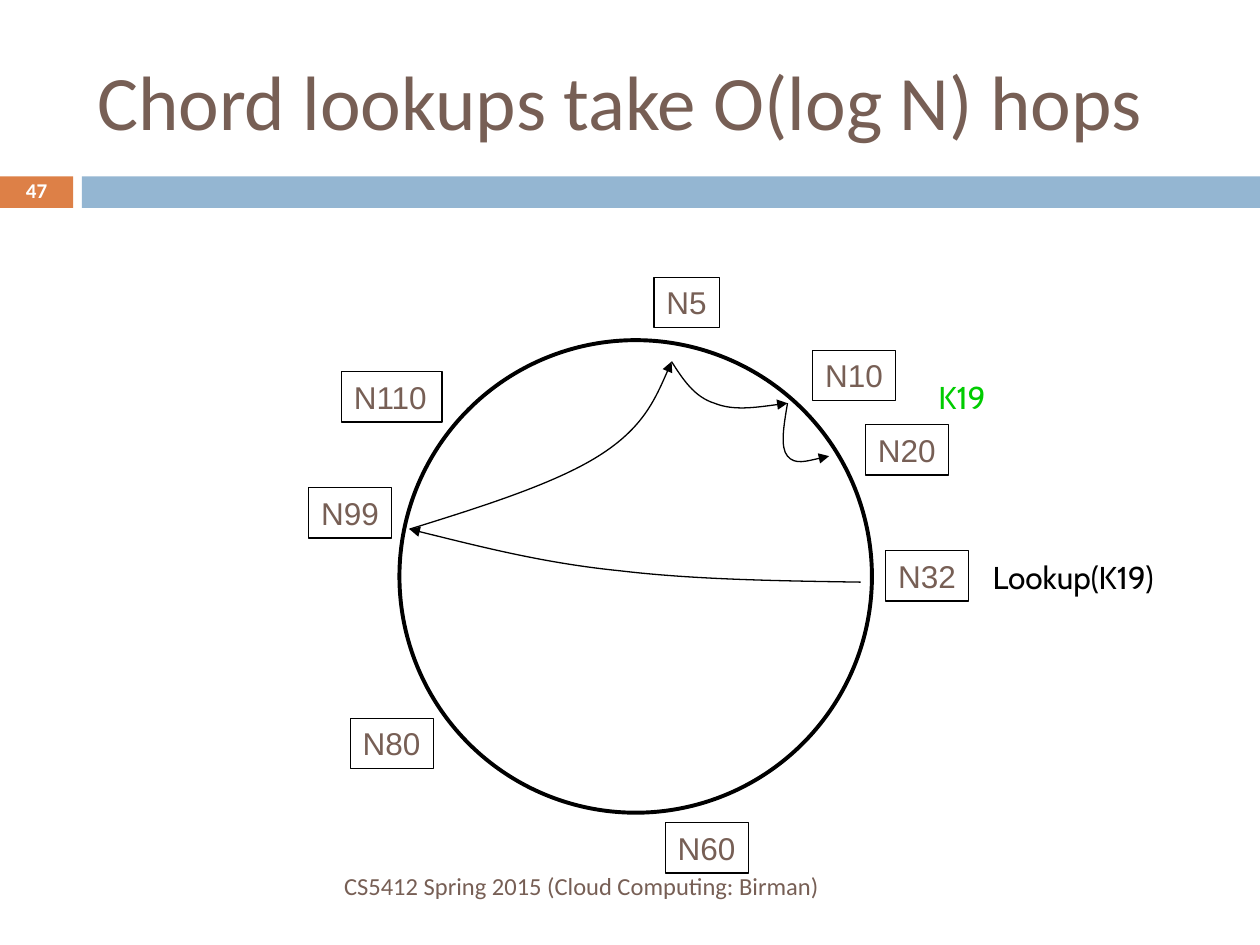
from dataclasses import dataclass

from lxml.etree import SubElement
from pptx import Presentation
from pptx.dml.color import RGBColor
from pptx.enum.shapes import MSO_SHAPE as Kind
from pptx.enum.text import MSO_ANCHOR as Anchor, MSO_AUTO_SIZE as Fit, PP_ALIGN as Align
from pptx.oxml.ns import qn
from pptx.util import Pt

PX = 9144  # EMU per px, 100 px to the inch
BROWN, BLACK, WHITE = "775F55", "000000", "FFFFFF"

Box = tuple[int, int, int, int]
Spot = tuple[int, int]


@dataclass
class Node:
    name: str
    left: int
    top: int
    wide: int = 66


@dataclass
class Hop:
    """A start point, then three points for each cubic curve."""
    start: Spot
    bends: list[Spot]


@dataclass
class Label:
    text: str
    box: Box
    size: int
    font: str
    color: str
    align: Align = Align.LEFT
    bold: bool = False
    wrap: bool = True


NODES = [
    Node("N32", 703, 437), Node("N10", 645, 278), Node("N5", 519, 220, 52),
    Node("N20", 687, 337), Node("N110", 271, 295, 80), Node("N99", 245, 387),
    Node("N80", 278, 570), Node("N60", 528, 653),
]
HOPS = [
    Hop((683, 462), [(617, 461), (551, 460), (492, 453), (432, 447), (378, 433), (325, 420)]),
    Hop((325, 420), [(383, 402), (440, 384), (475, 362), (510, 340), (522, 313), (533, 287)]),
    Hop((533, 287), [(542, 301), (551, 315), (567, 320), (582, 326), (603, 323), (625, 320)]),
    Hop((625, 320), [(622, 338), (619, 355), (625, 362), (631, 369), (644, 365), (658, 362)]),
]
LABELS = [
    Label("Lookup(K19)", (778, 438, 166, 40), 18, "Cabin", BLACK, wrap=False),
    Label("K19", (735, 295, 64, 40), 18, "Cabin", "00CC00", wrap=False),
    Label("CS5412 Spring 2015 (Cloud Computing: Birman)", (67, 683, 593, 40),
          14, "Calibri", BROWN, Align.RIGHT),
    Label("47", (0, 139, 58, 27), 12, "Calibri", WHITE, Align.CENTER, True),
]


def rgb(code: str) -> RGBColor:
    return RGBColor.from_string(code)


def emu(box: Box) -> list[int]:
    return [n * PX for n in box]


def write(shape, text: str, size: int, font: str, color: str,
          align: Align = Align.LEFT, bold: bool = False) -> None:
    shape.text_frame.text = text
    para = shape.text_frame.paragraphs[0]
    para.alignment = align
    face = para.runs[0].font
    face.size, face.name, face.bold = Pt(size), font, bold
    face.color.rgb = rgb(color)


def draw(slide, kind: Kind, box: Box, fill: str = "", line: float = 0):
    shape = slide.shapes.add_shape(kind, *emu(box))
    style(shape, fill, line)
    return shape


def style(shape, fill: str, line: float) -> None:
    shape.shadow.inherit = False
    if fill:
        shape.fill.solid()
        shape.fill.fore_color.rgb = rgb(fill)
    else:
        shape.fill.background()
    if line:
        shape.line.width = Pt(line)
        shape.line.color.rgb = rgb(BLACK)
    else:
        shape.line.fill.background()


def add_node(slide, node: Node) -> None:
    shape = draw(slide, Kind.RECTANGLE, (node.left, node.top, node.wide, 40), line=0.75)
    frame = shape.text_frame
    frame.word_wrap, frame.auto_size = False, Fit.SHAPE_TO_FIT_TEXT
    frame.vertical_anchor = Anchor.TOP
    write(shape, node.name, 18, "Arial", BROWN)


def add_hop(slide, hop: Hop) -> None:
    pen = slide.shapes.build_freeform(*hop.start, scale=PX)
    pen.add_line_segments(hop.bends, close=False)
    shape = pen.convert_to_shape()
    style(shape, "", 0.75)
    # Turn each three line points into one cubic curve
    track = next(shape.element.iter(qn("a:path")))
    lines = track.findall(qn("a:lnTo"))
    for i in range(0, len(lines), 3):
        curve = SubElement(track, qn("a:cubicBezTo"))
        for part in lines[i:i + 3]:
            curve.append(part[0])
            track.remove(part)
    SubElement(shape.line._get_or_add_ln(), qn("a:tailEnd"), type="triangle")


def add_label(slide, label: Label) -> None:
    shape = slide.shapes.add_textbox(*emu(label.box))
    frame = shape.text_frame
    frame.word_wrap = label.wrap
    if label.wrap:
        frame.vertical_anchor = Anchor.MIDDLE
    else:
        frame.auto_size = Fit.SHAPE_TO_FIT_TEXT
    write(shape, label.text, label.size, label.font, label.color, label.align, label.bold)
    if label.bold:
        frame.paragraphs[0].line_spacing = 0.8


def main() -> None:
    deck = Presentation()
    deck.slide_width, deck.slide_height = 1000 * PX, 750 * PX
    slide = deck.slides.add_slide(deck.slide_layouts[5])

    # Title and the band below it
    title = slide.shapes.title
    title.left, title.top, title.width, title.height = emu((67, 25, 892, 108))
    title.text_frame.vertical_anchor = Anchor.MIDDLE
    write(title, "Chord lookups take O(log N) hops", 44, "Calibri", BROWN)
    draw(slide, Kind.RECTANGLE, (0, 140, 58, 25), "DD8047")
    draw(slide, Kind.RECTANGLE, (65, 140, 935, 25), "94B6D2")

    # Ring, its nodes and the lookup hops
    draw(slide, Kind.OVAL, (317, 270, 375, 375), line=2.25)
    for node in NODES:
        add_node(slide, node)
    for hop in HOPS:
        add_hop(slide, hop)

    # Key labels, footer and page number
    for label in LABELS:
        add_label(slide, label)
    deck.save("out.pptx")


if __name__ == "__main__":
    main()
